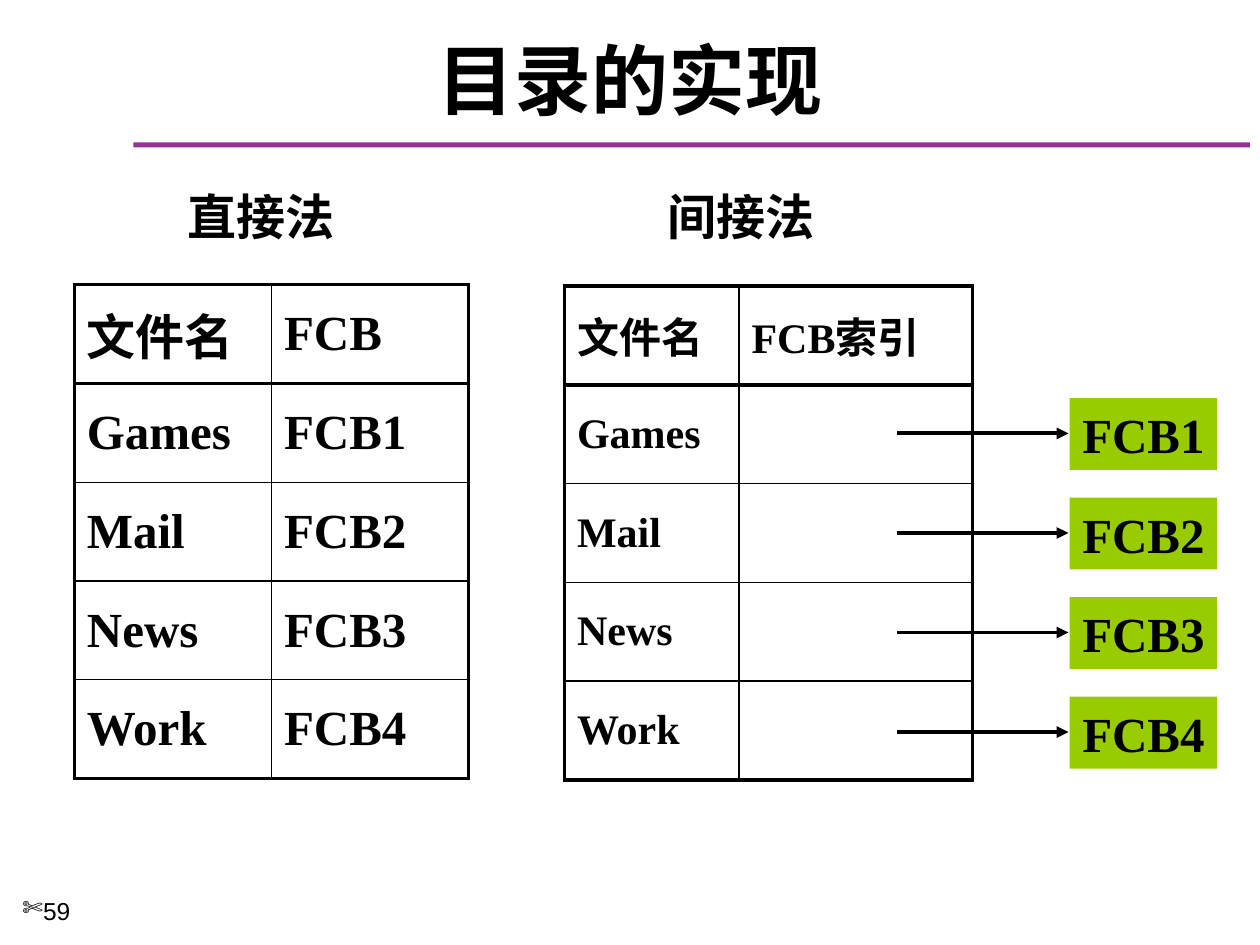
from lxml.etree import SubElement
from pptx import Presentation
from pptx.dml.color import RGBColor
from pptx.enum.shapes import MSO_CONNECTOR, MSO_SHAPE
from pptx.enum.text import MSO_ANCHOR, PP_ALIGN
from pptx.oxml.ns import qn
from pptx.util import Inches, Pt

COLORS = {"ink": "000000", "rule": "973095", "block": "99CC00"}
SERIF = "Times New Roman"
HAN = "Noto Sans CJK SC"
COLUMNS, ROWS = 100, 75
WIDTH, HEIGHT = Inches(10), Inches(7.5)
FILES = ["Games", "Mail", "News", "Work"]
BLOCKS = [f"FCB{number}" for number in range(1, len(FILES) + 1)]
TABLE_ROW = 7.84
BLOCK_STEP = 7.9


def grid(left, top, width, height):
    return (round(left * WIDTH / COLUMNS), round(top * HEIGHT / ROWS),
            round(width * WIDTH / COLUMNS), round(height * HEIGHT / ROWS))


def color(name):
    return RGBColor.from_string(COLORS[name])


def style_text(frame, size, font=SERIF, bold=True, align=PP_ALIGN.LEFT, lead=0.2):
    for para in frame.paragraphs:
        para.alignment = align
        para.space_before = Pt(size * lead)
        for span in para.runs:
            span.font.size = Pt(size)
            span.font.name = font
            span.font.bold = bold
            span.font.color.rgb = color("ink")
            SubElement(span._r.get_or_add_rPr(), qn("a:ea"), typeface=HAN)


def add_title(page, text):
    title = page.shapes.title
    title.left, title.top, title.width, title.height = grid(1.7, 2.5, 96.7, 7.5)
    title.text_frame.text = text
    title.text_frame.vertical_anchor = MSO_ANCHOR.MIDDLE
    style_text(title.text_frame, 44, HAN, align=PP_ALIGN.CENTER, lead=0)


def add_label(page, text, area, size=28, **style):
    box = page.shapes.add_textbox(*grid(*area))
    box.text_frame.word_wrap = True
    box.text_frame.text = text
    style_text(box.text_frame, size, **style)
    return box


def add_page_number(page, text):
    box = add_label(page, text, (0.8, 70.6, 10.8, 4.4), 14,
                    font="Arial", bold=False, lead=0)
    properties = box.text_frame.paragraphs[0]._p.get_or_add_pPr()
    SubElement(properties, qn("a:buChar"), char="✄")


def add_bar(page, area, fill):
    bar = page.shapes.add_shape(MSO_SHAPE.RECTANGLE, *grid(*area))
    bar.shadow.inherit = False
    bar.fill.solid()
    bar.fill.fore_color.rgb = color(fill)
    bar.line.fill.background()
    return bar


def add_block(page, text, area):
    block = add_bar(page, area, "block")
    block.text_frame.word_wrap = False
    block.text_frame.vertical_anchor = MSO_ANCHOR.MIDDLE
    block.text_frame.text = text
    style_text(block.text_frame, 28, align=PP_ALIGN.CENTER)


def add_arrow(page, start, end, level):
    x, y, length, _ = grid(start, level, end - start, 0)
    arrow = page.shapes.add_connector(MSO_CONNECTOR.STRAIGHT, x, y, x + length, y)
    arrow.line.color.rgb = color("ink")
    arrow.line.width = Pt(2.25)
    SubElement(arrow.line._get_or_add_ln(), qn("a:tailEnd"), type="triangle")
    SubElement(arrow._element.spPr, qn("a:effectLst"))


def set_borders(cell, widths):
    properties = cell._tc.get_or_add_tcPr()
    for index, (side, width) in enumerate(widths.items()):
        line = properties.makeelement(qn(f"a:ln{side}"), {"w": str(Pt(width))})
        fill = SubElement(line, qn("a:solidFill"))
        SubElement(fill, qn("a:srgbClr"), val=COLORS["ink"])
        properties.insert(index, line)


def add_directory(page, left, top, widths, records, size, thin, thick=2.25):
    area = grid(left, top, sum(widths), TABLE_ROW * len(records))
    table = page.shapes.add_table(len(records), len(widths), *area).table
    table.first_row = table.horz_banding = False
    for column, width in zip(table.columns, widths):
        column.width = grid(0, 0, width, 0)[2]
    last_row, last_column = len(records) - 1, len(widths) - 1
    for r, record in enumerate(records):
        for c, text in enumerate(record):
            cell = table.cell(r, c)
            cell.text_frame.text = text
            cell.vertical_anchor = MSO_ANCHOR.MIDDLE
            cell.fill.background()
            style_text(cell.text_frame, size)
            set_borders(cell, {
                "L": thick if c == 0 else thin,
                "R": thick if c == last_column else thin,
                "T": thick if r <= 1 else thin,
                "B": thick if r in (0, last_row) else thin,
            })


def main():
    deck = Presentation()
    deck.slide_width, deck.slide_height = WIDTH, HEIGHT
    page = deck.slides.add_slide(deck.slide_layouts[5])

    add_bar(page, (10.6, 11.3, 88.6, 0.4), "rule")
    add_title(page, "目录的实现")
    add_page_number(page, "59")

    direct = [("文件名", "FCB"), *zip(FILES, BLOCKS)]
    indirect = [("文件名", "FCB索引"), *((name, "") for name in FILES)]
    add_directory(page, 5.9, 22.6, (15.65, 15.65), direct, 28, 0.75)
    add_directory(page, 44.8, 22.7, (13.85, 18.55), indirect, 24, 1)

    for index, name in enumerate(BLOCKS):
        top = 31.6 + index * BLOCK_STEP
        add_block(page, name, (84.9, top, 11.7, 5.7))
        add_arrow(page, 71.2, 84.8, top + 2.8)

    for text, left in (("直接法", 13.9), ("间接法", 52)):
        add_label(page, text, (left, 14.3, 13.7, 5.7))

    deck.save("out.pptx")


if __name__ == "__main__":
    main()
